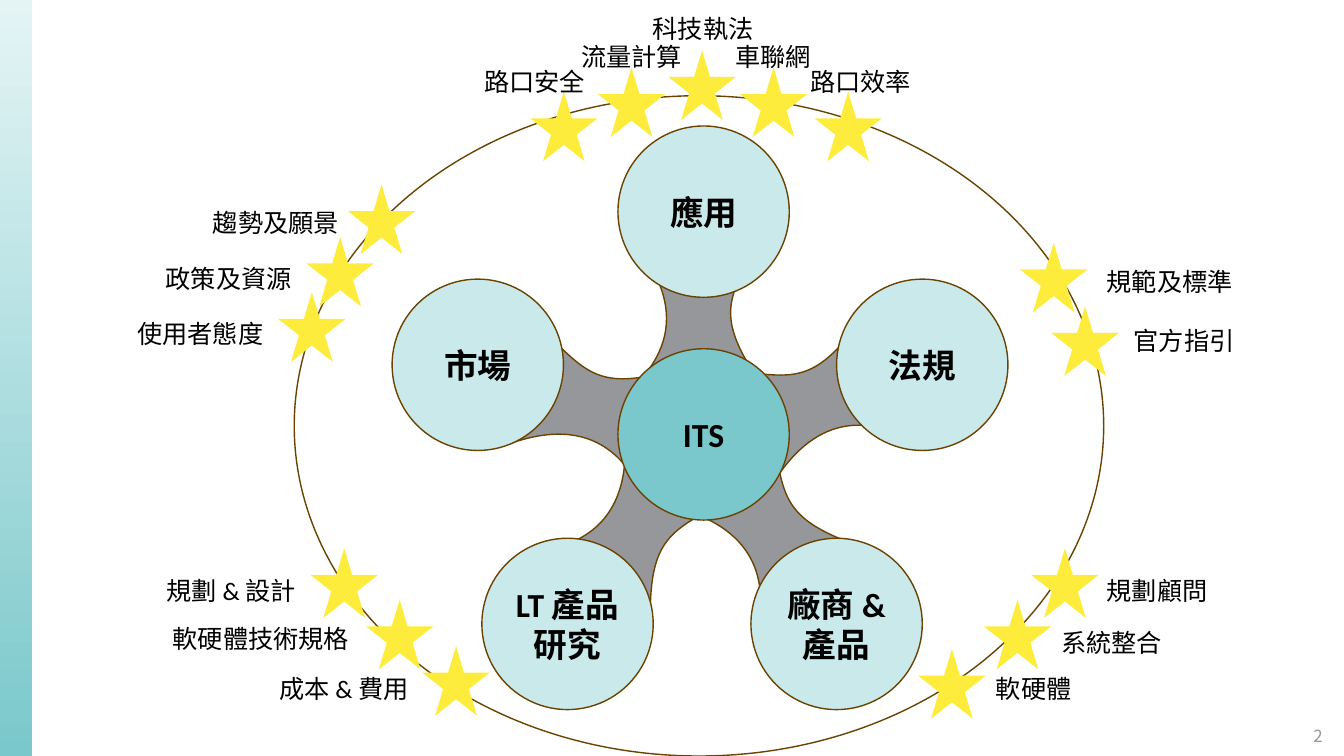
from pptx import Presentation
from pptx.dml.color import RGBColor
from pptx.enum.shapes import MSO_SHAPE
from pptx.enum.text import MSO_ANCHOR, PP_ALIGN
from pptx.oxml.ns import qn
from pptx.util import Pt
from lxml.etree import SubElement

THEME = {
    "band_top": RGBColor.from_string("E4F4F5"),
    "teal": RGBColor.from_string("7AC8CB"),
    "pale": RGBColor.from_string("CAE9EA"),
    "outline": RGBColor.from_string("6B4300"),
    "gray": RGBColor.from_string("95979B"),
    "yellow": RGBColor.from_string("FEEC3C"),
    "text": RGBColor.from_string("000000"),
    "hub": {"name": "Calibri", "size": Pt(24), "bold": True},
    "label": {"name": "Calibri", "size": Pt(18), "bold": False},
    "number": {"name": "Noto Sans CJK SC", "size": Pt(12), "bold": False},
}


def style_shape(shape, fill, line):
    shape.shadow.inherit = False
    if fill:
        shape.fill.solid()
        shape.fill.fore_color.rgb = THEME[fill]
    else:
        shape.fill.background()
    if line:
        shape.line.color.rgb = THEME[line]
        shape.line.width = Pt(1)
    else:
        shape.line.fill.background()


def write_text(shape, text, style, color, alignment):
    frame = shape.text_frame
    frame.word_wrap = True
    frame.vertical_anchor = MSO_ANCHOR.MIDDLE
    frame.text = text
    for paragraph in frame.paragraphs:
        paragraph.alignment = alignment
        for attribute, value in THEME[style].items():
            setattr(paragraph.font, attribute, value)
        paragraph.font.color.rgb = THEME[color]


presentation = Presentation()
presentation.slide_width = Pt(960)
presentation.slide_height = Pt(540)
slide = presentation.slides.add_slide(presentation.slide_layouts[6])
shapes = slide.shapes

band = shapes.add_shape(MSO_SHAPE.RECTANGLE, 0, 0, Pt(23), Pt(540))
style_shape(band, "teal", None)
band.fill.gradient()
band.fill.gradient_angle = 270
for stop, color in zip(band.fill.gradient_stops, ("band_top", "teal")):
    stop.color.rgb = THEME[color]

ring = shapes.add_shape(MSO_SHAPE.OVAL, Pt(210.2), Pt(68.4), Pt(578.2), Pt(471.6))
style_shape(ring, None, "outline")

stem_start, *stem_path = [
    (Pt(x), Pt(y))
    for x, y in [
        (90.7, 101.5), (71.3, 70.6), (41, 62.6), (0, 77.8),
        (29.5, 0), (56.9, 25.9), (66.2, 39.6), (118.1, 24.5),
        (90.7, 101.5),
    ]
]
for left, top, rotation in [
    (396.7, 324, 106.2),
    (488.2, 324.7, 35.9),
    (439.2, 172.1, 72),
    (523.4, 236.9, 322.4),
    (362.2, 239.8, 0),
]:
    builder = shapes.build_freeform(*stem_start)
    builder.add_line_segments(stem_path, close=True)
    stem = builder.convert_to_shape(Pt(left), Pt(top))
    stem.rotation = rotation
    style_shape(stem, "gray", "outline")
    outline = next(stem.element.iter(qn("a:path")))
    segments = outline.findall(qn("a:lnTo"))
    for first in (0, 4):
        curve = SubElement(outline, qn("a:cubicBezTo"))
        segments[first].addprevious(curve)
        for segment in segments[first:first + 3]:
            curve.append(segment[0])
            outline.remove(segment)

page_number = shapes.add_textbox(Pt(925.9), Pt(511.2), Pt(31), Pt(28.8))
write_text(page_number, "2", "number", "gray", PP_ALIGN.CENTER)

hub_size = 122.4
for text, left, top, fill, text_width, text_height in [
    ("ITS", 441.4, 249.1, "teal", 44.6, 36),
    ("應用", 441.4, 90, "pale", 63.4, 36),
    ("法規", 597.6, 199.4, "pale", 63.4, 36),
    ("廠商 & 產品", 536.4, 384.5, "pale", None, None),
    ("LT 產品\n研究", 344.2, 384.5, "pale", 88.6, 65.5),
    ("市場", 280.1, 199.4, "pale", 63.4, 36),
]:
    hub = shapes.add_shape(MSO_SHAPE.OVAL, Pt(left), Pt(top), Pt(hub_size), Pt(hub_size))
    style_shape(hub, fill, "outline")
    caption = hub
    if text_width:
        caption = shapes.add_textbox(
            Pt(left + (hub_size - text_width) / 2),
            Pt(top + (hub_size - text_height) / 2),
            Pt(text_width),
            Pt(text_height),
        )
    write_text(caption, text, "hub", "text", PP_ALIGN.CENTER)

topic_groups = {
    PP_ALIGN.RIGHT: [
        ("趨勢及願景", 248.4, 131.8, 144, 144.7),
        ("政策及資源", 218.9, 169.2, 110.2, 184.3),
        ("使用者態度", 198.7, 208.8, 90, 223.9),
        ("規劃 & 設計", 221.8, 391.7, 110.2, 407.5),
        ("軟硬體技術規格", 261.4, 428.4, 115.2, 441.4),
        ("成本 & 費用", 301.7, 461.5, 190.8, 477.4),
    ],
    PP_ALIGN.CENTER: [
        ("路口安全", 378.7, 65.5, 338.4, 43.9),
        ("流量計算", 427, 48.2, 407.5, 25.9),
        ("科技執法", 477.4, 36, 458.6, 5.8),
        ("車聯網", 528.5, 48.2, 517.7, 25.9),
        ("路口效率", 581.8, 65.5, 571, 43.9),
    ],
    PP_ALIGN.LEFT: [
        ("規範及標準", 728.6, 173.5, 783.4, 186.5),
        ("官方指引", 751, 218.9, 802.8, 229),
        ("規劃顧問", 736.6, 391.7, 783.4, 407.5),
        ("系統整合", 702.7, 428.4, 751, 444.2),
        ("軟硬體", 655.9, 463.7, 704.2, 477.4),
    ],
}
for alignment, topics in topic_groups.items():
    for text, star_left, star_top, label_left, label_top in topics:
        star = shapes.add_shape(
            MSO_SHAPE.STAR_5_POINT, Pt(star_left), Pt(star_top), Pt(48.2), Pt(49.7)
        )
        style_shape(star, "yellow", None)
        label_width = 15.2 + sum(7 if character.isascii() else 18 for character in text)
        label = shapes.add_textbox(Pt(label_left), Pt(label_top), Pt(label_width), Pt(28.8))
        write_text(label, text, "label", "text", alignment)

presentation.save("out.pptx")
